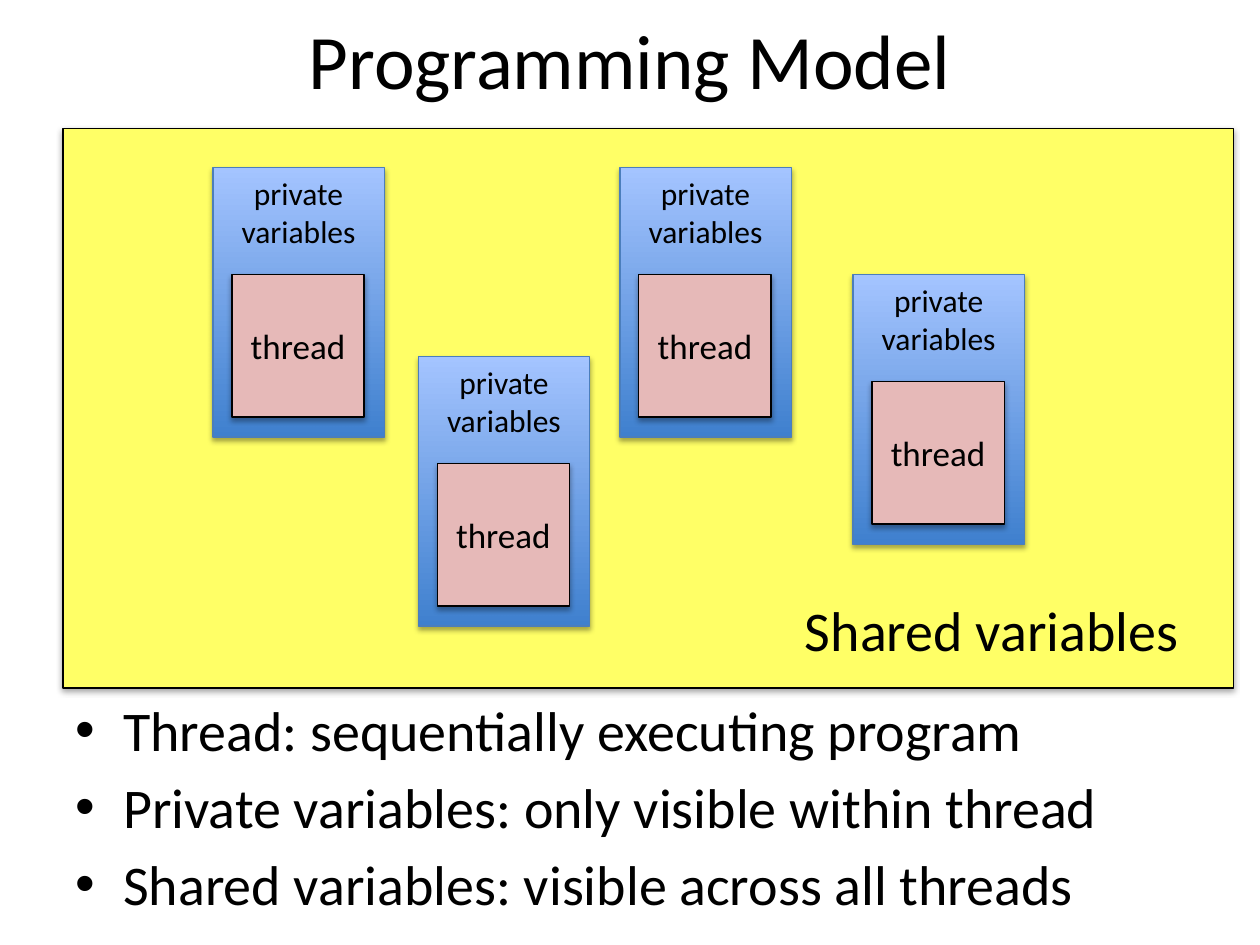
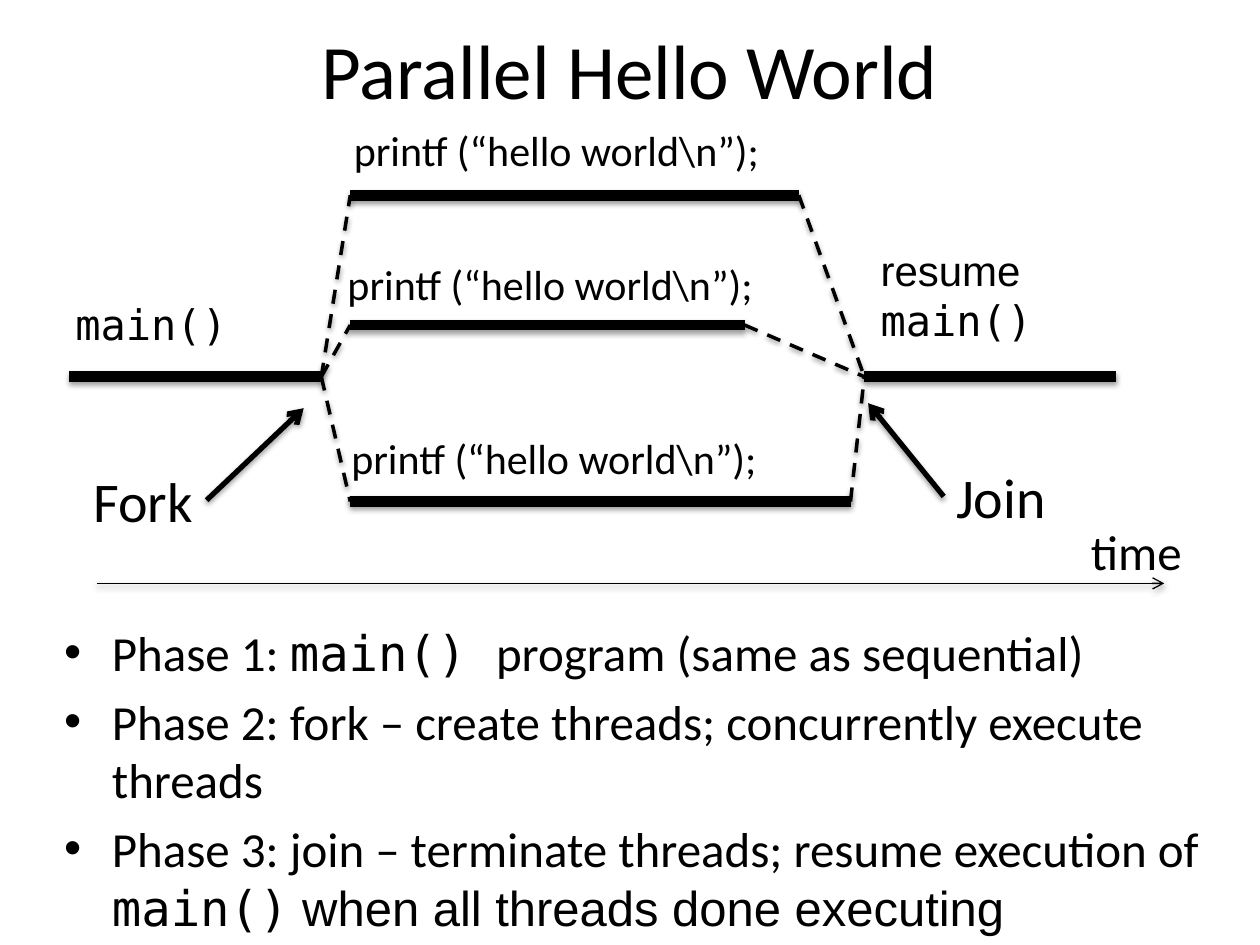
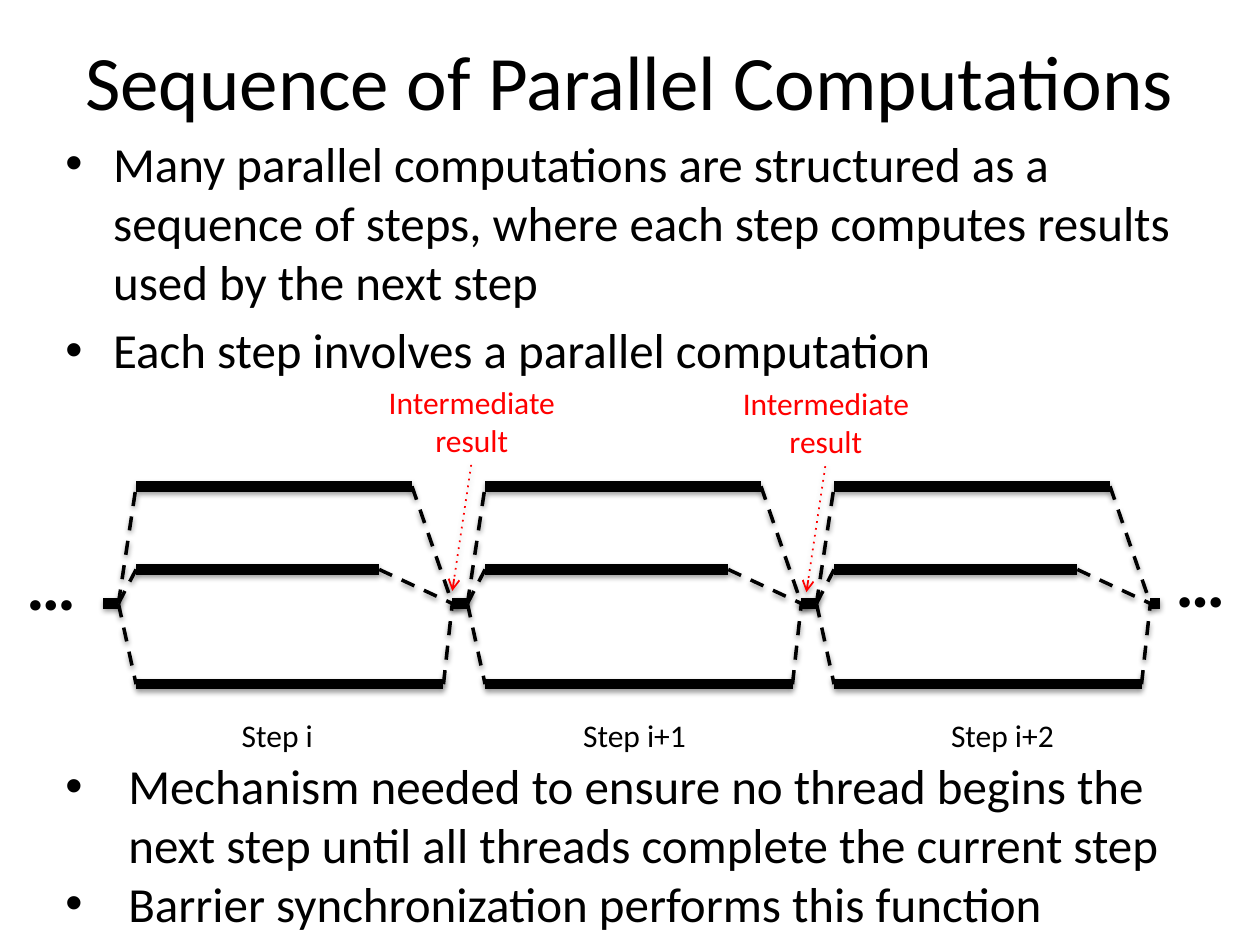
from lxml.etree import SubElement as Sub
from pptx import Presentation
from pptx.dml.color import RGBColor as RGB
from pptx.enum.shapes import MSO_CONNECTOR as Conn, MSO_SHAPE as Form
from pptx.enum.text import MSO_ANCHOR as Anchor, MSO_AUTO_SIZE as Auto, PP_ALIGN as Align
from pptx.oxml.ns import qn
from pptx.util import Inches, Pt

BLACK = RGB(0, 0, 0)
RED = RGB(255, 0, 0)
YELLOW = RGB(255, 255, 102)
PINK = RGB(230, 185, 184)
DEEP = RGB(63, 128, 206)
PALE = RGB(164, 196, 255)
EDGE = RGB(75, 126, 188)
SANS, MONO, ARIAL = "Calibri", "DejaVu Sans Mono", "Arial"

MODEL = [
    "Thread: sequentially executing program",
    "Private variables: only visible within thread",
    "Shared variables: visible across all threads",
]
THREADS = [(1.69, 1.33), (4.92, 1.33), (6.77, 2.18), (3.32, 2.83)]

PHASES = [
    [("Phase 1: ", SANS), ("main() ", MONO), ("program (same as sequential)", SANS)],
    "Phase 2: fork – create threads; concurrently execute threads",
    [("Phase 3: join – terminate threads; resume execution of ", SANS),
     ("main()", MONO), (" when all threads done executing", ARIAL)],
]
HELLO = "printf (“hello world\\n”);"
HELLOS = [(2.71, 0.94), (2.66, 2), (2.69, 3.38)]
WORLD = dict(y=2.99, start=2.55, split=2.78, join=6.86, lead=2, tail=2,
             rows=[(1.55, 6.34), (2.58, 5.91), (3.98, 6.75)])
CALLS = [
    ("Fork", (0.64, 3.65, 1.01, 0.64), (1.64, 3.97), (2.41, 3.24)),
    ("Join", (7.49, 3.62, 0.92, 0.64), (7.49, 3.94), (6.89, 3.2)),
]

STEPS = [
    "Many parallel computations are structured as a sequence of steps, "
    "where each step computes results used by the next step",
    "Each step involves a parallel computation",
]
BARRIER = [
    "Mechanism needed to ensure no thread begins the next step "
    "until all threads complete the current step",
    "Barrier synchronization performs this function",
]
STEP = dict(y=4.79, start=0.94, split=1.08, join=3.59, lead=0.12, tail=0.08,
            rows=[(3.86, 3.27), (4.52, 3.01), (5.43, 3.52)])
PITCH = 2.77
NAMES = [("Step i", 1.82, 0.78), ("Step i+1", 4.53, 1.03), ("Step i+2", 7.45, 1.03)]
DOTS = [(0.11, 4.24), (9.23, 4.22)]
RESULTS = [(2.97, 2.99), (5.78, 3)]


def box(at):
    return [Inches(v) for v in at]


def shade(props, alpha, dist):
    glow = props.find(qn("a:effectLst"))
    if glow is None:
        glow = Sub(props, qn("a:effectLst"))
    drop = Sub(glow, qn("a:outerShdw"), blurRad=str(Pt(3.1)), dist=str(Pt(dist)),
               dir="5400000", rotWithShape="0")
    tint = Sub(drop, qn("a:srgbClr"), val="000000")
    Sub(tint, qn("a:alpha"), val=str(alpha * 1000))


def style(para, size, color=BLACK, font=SANS, align=None, bold=None):
    para.font.size, para.font.name, para.font.bold = Pt(size), font, bold
    para.font.color.rgb = color
    para.alignment = align


def begin(name, top, height):
    slide = deck.slides.add_slide(deck.slide_layouts[5])
    title = slide.shapes.title
    title.left, title.top, title.width, title.height = box((0.5, top, 9, height))
    title.text_frame.text = name
    title.text_frame.auto_size = Auto.NONE
    title.text_frame.vertical_anchor = Anchor.MIDDLE
    style(title.text_frame.paragraphs[0], 44, align=Align.CENTER)
    return slide


def label(slide, text, at, size, fonts=(SANS,), **look):
    frame = slide.shapes.add_textbox(*box(at)).text_frame
    frame.text = text
    frame.word_wrap = False
    frame.auto_size = Auto.SHAPE_TO_FIT_TEXT
    for i, para in enumerate(frame.paragraphs):
        style(para, size, font=fonts[i % len(fonts)], **look)


def bullets(slide, items, at, size, gap=5.6, indent=0.38):
    frame = slide.shapes.add_textbox(*box(at)).text_frame
    frame.word_wrap = True
    for i, item in enumerate(items):
        para = frame.add_paragraph() if i else frame.paragraphs[0]
        style(para, size)
        para.space_before = Pt(gap)
        props = para._p.get_or_add_pPr()
        props.set("marL", str(Inches(indent)))
        props.set("indent", str(-Inches(indent)))
        mark = props.makeelement(qn("a:buFont"), {"typeface": ARIAL})
        sign = props.makeelement(qn("a:buChar"), {"char": "•"})
        props.find(qn("a:defRPr")).addprevious(mark)
        mark.addnext(sign)
        for text, font in [(item, SANS)] if isinstance(item, str) else item:
            run = para.add_run()
            run.text = text
            if font != SANS:
                run.font.name = font


def block(slide, at, edge=BLACK, fill=None, text="", size=18, anchor=Anchor.TOP):
    shape = slide.shapes.add_shape(Form.RECTANGLE, *box(at))
    if fill:
        shape.fill.solid()
        shape.fill.fore_color.rgb = fill
    else:
        shape.fill.gradient()
        shape.fill.gradient_angle = 90
        for stop, color in zip(shape.fill.gradient_stops, (DEEP, PALE)):
            stop.color.rgb = color
    shape.line.color.rgb = edge
    shape.line.width = Pt(0.75)
    shape.shadow.inherit = False
    shade(shape._element.spPr, 35, 1.8)
    if text:
        shape.text_frame.text = text
        shape.text_frame.vertical_anchor = anchor
        for para in shape.text_frame.paragraphs:
            style(para, size, align=Align.CENTER)


def line(slide, start, end, width=6, dash=None, arrow=False, color=BLACK):
    wire = slide.shapes.add_connector(Conn.STRAIGHT, *box(start + end))
    wire.line.color.rgb = color
    wire.line.width = Pt(width)
    props = wire._element.spPr
    pen = props.find(qn("a:ln"))
    if dash:
        Sub(pen, qn("a:prstDash"), val=dash)
    if arrow:
        Sub(pen, qn("a:tailEnd"), type="arrow")
    shade(props, 38, 1.6)


def fork(slide, y, start, split, join, lead, tail, rows, shift=0):
    start, split, join = start + shift, split + shift, join + shift
    line(slide, (start - lead, y), (start, y))
    for level, end in rows:
        left, right = (split, level), (end + shift, level)
        line(slide, left, right)
        line(slide, (start, y), left, 2, "dash")
        line(slide, right, (join, y), 2, "dash")
    line(slide, (join, y), (join + tail, y))


deck = Presentation()
deck.slide_width, deck.slide_height = Inches(10), Inches(7.5)

slide = begin("Programming Model", -0.06, 1.05)
bullets(slide, MODEL, (0.5, 5.47, 9, 2.03), 32)
block(slide, (0.5, 1.02, 9.29, 4.44), fill=YELLOW)
for x, y in THREADS:
    block(slide, (x, y, 1.36, 2.14), EDGE, text="private\nvariables")
    block(slide, (x + 0.15, y + 0.85, 1.05, 1.13), fill=PINK, text="thread",
          size=20, anchor=Anchor.MIDDLE)
label(slide, "Shared variables", (6.29, 4.68, 3.21, 0.64), 32)

slide = begin("Parallel Hello World", -0.08, 1.25)
bullets(slide, PHASES, (0.41, 4.89, 9.21, 2.52), 28)
fork(slide, **WORLD)
label(slide, "main()", (0.5, 2.32, 1.41, 0.5), 24, (MONO,))
for spot in HELLOS:
    label(slide, HELLO, spot + (3.46, 0.5), 24)
label(slide, "resume\nmain()", (6.89, 1.89, 1.41, 0.91), 24, (ARIAL, MONO))
for name, at, start, end in CALLS:
    label(slide, name, at, 32)
    line(slide, start, end, 3, arrow=True)
line(slide, (0.77, 4.63), (9.24, 4.63), 0.75, arrow=True)
label(slide, "time", (8.56, 4.09, 0.93, 0.57), 28)

slide = begin("Sequence of Parallel Computations", 0.01, 1.25)
bullets(slide, STEPS, (0.42, 1.01, 9, 2.35), 28)
for i, (name, x, width) in enumerate(NAMES):
    fork(slide, shift=i * PITCH, **STEP)
    label(slide, name, (x, 5.63, width, 0.4), 18)
bullets(slide, BARRIER, (0.42, 5.95, 9.25, 1.51), 28, gap=0, indent=0.5)
for spot in DOTS:
    label(slide, "…", spot + (0.6, 0.77), 40, bold=True)
for x, y in RESULTS:
    label(slide, "Intermediate\nresult", (x, y, 1.55, 0.71), 18, color=RED, align=Align.CENTER)
    line(slide, (x + 0.77, y + 0.7), (x + 0.62, y + 1.7), 1, "dot", True, RED)

deck.save("out.pptx")
